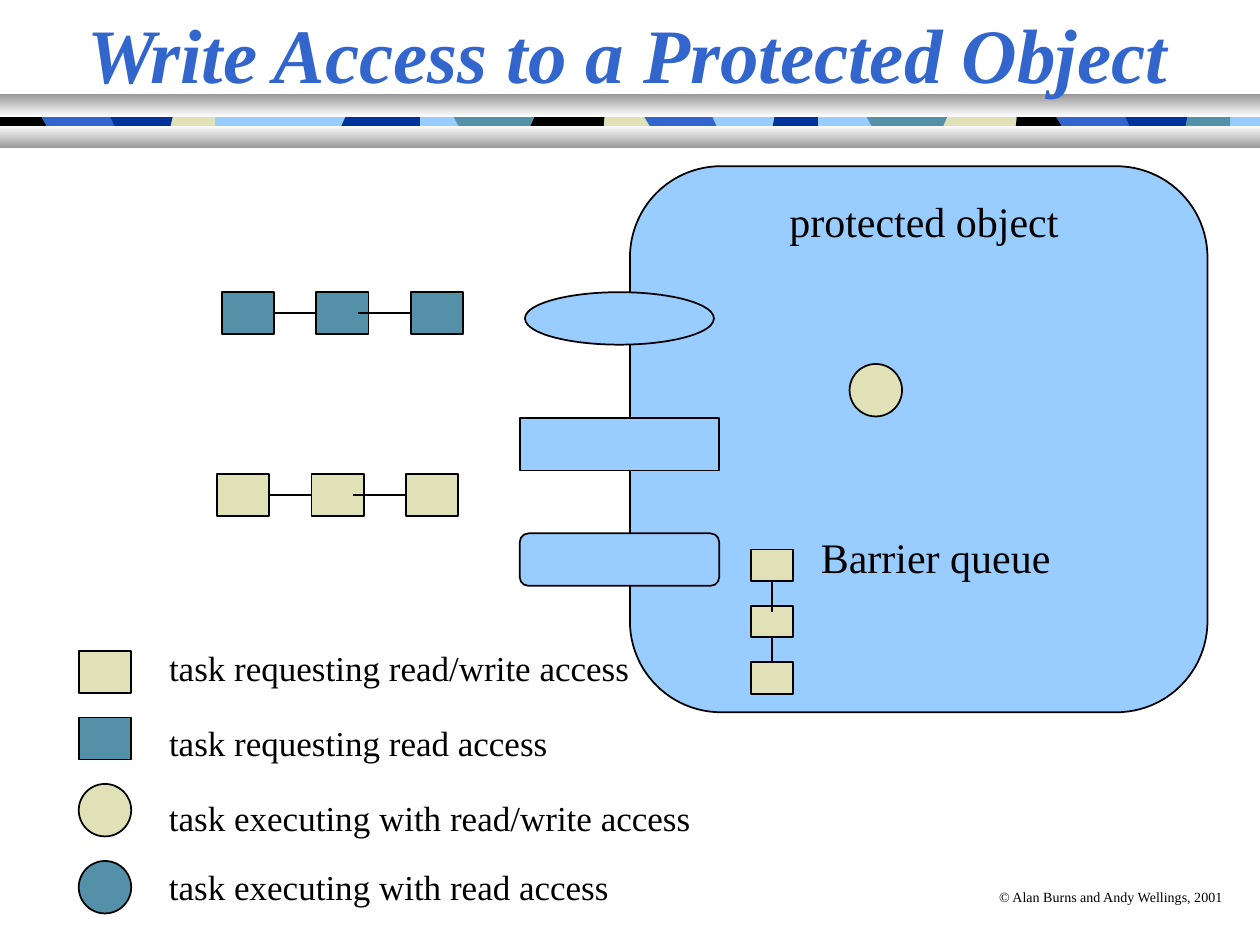
from itertools import pairwise
from lxml.etree import SubElement
from pptx import Presentation
from pptx.dml.color import RGBColor
from pptx.enum.shapes import MSO_CONNECTOR as Connector, MSO_SHAPE as Shape
from pptx.enum.text import MSO_ANCHOR as Anchor, MSO_AUTO_SIZE as AutoSize, PP_ALIGN as Align
from pptx.oxml.ns import qn
from pptx.util import Pt

BLACK, BLUE, NAVY = "000000", "3366CC", "003399"
LIGHT, TEAL, KHAKI = "99CCFF", "5490A8", "E1E1B7"
WHITE, GRAY = "FFFFFF", "989898"


def color(value):
    return RGBColor.from_string(value)


class SlideBuilder:
    font_name = "Times New Roman"
    line_width = 1

    def __init__(self, slide):
        self.slide = slide
        self.shapes = slide.shapes

    def shape(self, kind, left, top, width, height, fill):
        shape = self.shapes.add_shape(kind, Pt(left), Pt(top), Pt(width), Pt(height))
        shape.shadow.inherit = False
        shape.fill.solid()
        shape.fill.fore_color.rgb = color(fill)
        shape.line.color.rgb = color(BLACK)
        shape.line.width = Pt(self.line_width)
        return shape

    def gradient_bar(self, top, height, start, end):
        shape = self.shape(Shape.RECTANGLE, 0, top, 720, height, WHITE)
        shape.line.fill.background()
        shape.fill.gradient()
        shape.fill.gradient_angle = 270
        for stop, value, position in zip(shape.fill.gradient_stops, (start, end), (0, 1)):
            stop.color.rgb = color(value)
            stop.position = position

    def polygon(self, points, fill):
        (start_x, start_y), *others = points
        builder = self.shapes.build_freeform(Pt(start_x), Pt(start_y))
        builder.add_line_segments([(Pt(x), Pt(y)) for x, y in others], close=True)
        shape = builder.convert_to_shape()
        shape.shadow.inherit = False
        shape.fill.solid()
        shape.fill.fore_color.rgb = color(fill)
        shape.line.fill.background()

    def line(self, start_x, start_y, end_x, end_y):
        connector = self.shapes.add_connector(
            Connector.STRAIGHT, Pt(start_x), Pt(start_y), Pt(end_x), Pt(end_y))
        connector.line.color.rgb = color(BLACK)
        connector.line.width = Pt(self.line_width)
        SubElement(connector._element.spPr, qn("a:effectLst"))

    def text(self, text, left, top, width, height, size, fill=BLACK):
        box = self.shapes.add_textbox(Pt(left), Pt(top), Pt(width), Pt(height))
        text_frame = box.text_frame
        text_frame.word_wrap = False
        text_frame.auto_size = AutoSize.SHAPE_TO_FIT_TEXT
        text_frame.text = text
        font = text_frame.paragraphs[0].runs[0].font
        font.name = self.font_name
        font.size = Pt(size)
        font.color.rgb = color(fill)
        return text_frame

    def title(self, text):
        text_frame = self.text(text, 0, 0, 718, 60, 44, BLUE)
        text_frame.word_wrap = True
        text_frame.auto_size = AutoSize.NONE
        text_frame.vertical_anchor = Anchor.MIDDLE
        paragraph = text_frame.paragraphs[0]
        paragraph.alignment = Align.CENTER
        paragraph.runs[0].font.bold = True
        paragraph.runs[0].font.italic = True

    def mosaic(self, top, bottom, tiles):
        self.polygon([(0, top), (720, top), (720, bottom), (0, bottom)], LIGHT)
        for (fill, left, left_lean), (_, right, right_lean) in pairwise(tiles):
            if fill != LIGHT:
                self.polygon([(left - left_lean, top), (right - right_lean, top),
                              (right + right_lean, bottom), (left + left_lean, bottom)], fill)

    def task_queue(self, left, top, fill):
        for index in range(3):
            self.shape(Shape.RECTANGLE, left + 54 * index, top, 30, 24, fill)
        self.line(left + 30, top + 12, left + 54, top + 12)
        self.line(left + 108, top + 12, left + 78, top + 12)

    def barrier_queue(self, left, top, fill):
        for index in range(3):
            self.shape(Shape.RECTANGLE, left, top + 32.2 * index, 24, 18, fill)
        self.line(left + 12, top + 64.4, left + 12, top + 50.2)
        self.line(left + 12, top + 18, left + 12, top + 36)


def main():
    presentation = Presentation()
    presentation.slide_width, presentation.slide_height = Pt(720), Pt(540)
    slide = presentation.slides.add_slide(presentation.slide_layouts[6])
    builder = SlideBuilder(slide)

    builder.mosaic(61.2, 81.4, [
        (BLACK, 0, 0), (BLUE, 26.3, 5.5), (NAVY, 65, 4.5), (KHAKI, 97.7, -2.5),
        (LIGHT, 122.9, 0), (NAVY, 195.4, -4.5), (LIGHT, 240, 0), (TEAL, 261.7, 5.5),
        (BLACK, 303.4, -4.5), (KHAKI, 345.1, -1), (BLUE, 370.9, 6), (LIGHT, 409.1, 4.5),
        (NAVY, 441.7, -2), (LIGHT, 467.4, 0), (TEAL, 497.7, 5.5), (KHAKI, 539.4, -4.5),
        (BLACK, 580.6, -1), (BLUE, 606.3, 6), (NAVY, 645.1, 4.5), (TEAL, 677.7, -2),
        (LIGHT, 702.9, 0)])
    builder.gradient_bar(53.8, 13.1, GRAY, WHITE)
    builder.gradient_bar(71.8, 12.8, WHITE, GRAY)
    builder.text("© Alan Burns and Andy Wellings, 2001", 563.8, 504, 144, 17.3, 8)
    builder.title("Write Access to a Protected Object")

    for kind, left, top, width, height in (
            (Shape.ROUNDED_RECTANGLE, 360, 95, 330, 312),
            (Shape.OVAL, 300, 167, 108, 30),
            (Shape.ROUNDED_RECTANGLE, 297, 304.8, 114, 30),
            (Shape.RECTANGLE, 297, 239, 114, 30)):
        builder.shape(kind, left, top, width, height, LIGHT)
    builder.text("protected object", 444, 108, 168.5, 36, 24)
    builder.text("Barrier queue", 462, 300, 145.5, 36, 24)

    for kind, fill, top, height, label, label_top, label_width in (
            (Shape.RECTANGLE, KHAKI, 372, 24,
             "task requesting read/write access", 366, 278.5),
            (Shape.RECTANGLE, TEAL, 410, 24,
             "task requesting read access", 409, 231.5),
            (Shape.OVAL, KHAKI, 448, 30,
             "task executing with read/write access", 451.5, 313),
            (Shape.OVAL, TEAL, 492, 30,
             "task executing with read access", 491, 266.5)):
        builder.shape(kind, 45, top, 30, height, fill)
        builder.text(label, 89.5, label_top, label_width, 31.7, 20)

    builder.task_queue(126.7, 167, TEAL)
    builder.task_queue(124, 271, KHAKI)
    builder.barrier_queue(429, 314, KHAKI)
    builder.shape(Shape.OVAL, 485.5, 208, 30, 30, KHAKI)
    presentation.save("out.pptx")


if __name__ == "__main__":
    main()
